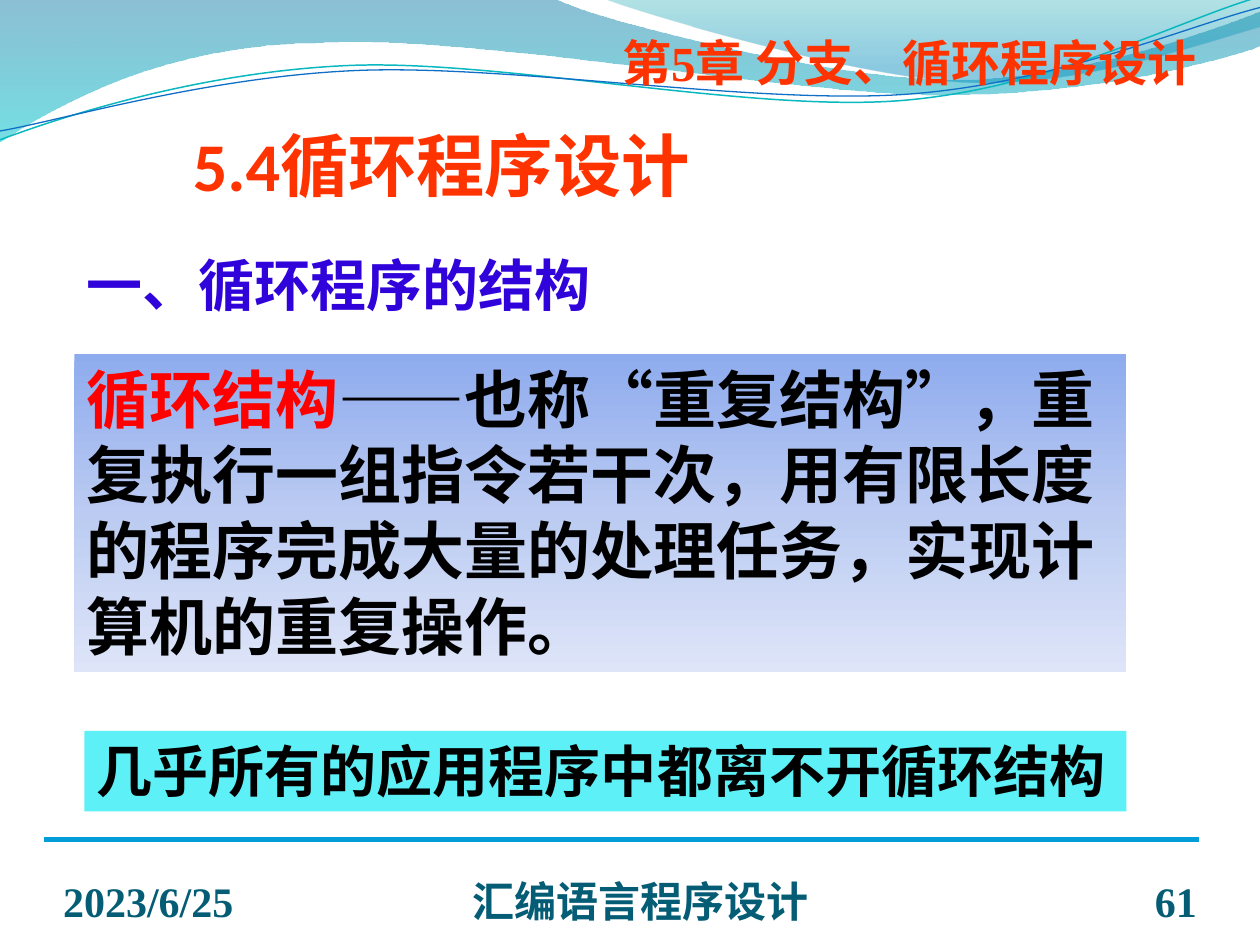
"""Build the opening slide of section 5.4 on loop programs."""
import math
import pptx
import pptx.dml.color
import pptx.enum.shapes
import pptx.enum.text
import pptx.oxml
import pptx.oxml.ns
import pptx.util
from pptx.util import Inches

hue = pptx.dml.color.RGBColor.from_string
qn = pptx.oxml.ns.qn
align = pptx.enum.text.PP_ALIGN
anchor = pptx.enum.text.MSO_ANCHOR
SANS, SERIF = "Noto Sans CJK SC", "Times New Roman"


def grade(shape, stops):
    shape.fill.gradient()
    shape.fill.gradient_angle = 270
    rows = "".join(
        f'<a:gs pos="{pos * 1000}"><a:srgbClr val="{tint}">'
        f'<a:alpha val="{alpha * 1000}"/></a:srgbClr></a:gs>'
        for pos, tint, alpha in stops)
    fresh = pptx.oxml.parse_xml(
        f'<a:gsLst {pptx.oxml.ns.nsdecls("a")}>{rows}</a:gsLst>')
    old = shape._element.spPr.find(".//" + qn("a:gsLst"))
    old.getparent().replace(old, fresh)


def write(shape, runs, size, face, look, lead=None, side=align.LEFT):
    frame = shape.text_frame
    for name, value in {"word_wrap": True, **look}.items():
        setattr(frame, name, value)
    para = frame.paragraphs[0]
    para.alignment = side
    if lead:
        para.line_spacing = pptx.util.Pt(round(size * lead, 1))
    for words, tint in runs:
        run = para.add_run()
        run.text = words
        form = {"size": pptx.util.Pt(size), "bold": True, "name": face}
        for name, value in form.items():
            setattr(run.font, name, value)
        run.font.color.rgb = hue(tint)
        east = run._r.get_or_add_rPr().makeelement(qn("a:ea"), {"typeface": SANS})
        run.font._element.find(qn("a:latin")).addnext(east)


deck = pptx.Presentation()
deck.slide_width, deck.slide_height = Inches(10), Inches(7.5)
slide = deck.slides.add_slide(deck.slide_layouts[6])
shapes = slide.shapes

waves = [
    ([(0, -0.01), (4.4, -0.01),
      (4.76, 0.17, 6.64, 0.63, 7.58, 0.63), (8.53, 0.63, 9.58, 0.26, 10, 0.09),
      (10.01, 0.36), (9.83, 0.44, 8.7, 0.76, 7.46, 0.75),
      (6.22, 0.75, 3.82, 0.28, 2.57, 0.34), (1.29, 0.35, 0.46, 0.83, -0.01, 1.13),
      (0, -0.01)],
     [(0, "0074A1", 45), (100, "00C6CF", 55)], None, 0, (0, 0)),
    ([(4.79, -0.01), (5.09, 0.11, 6.82, 0.62, 7.69, 0.65),
      (8.56, 0.69, 9.61, 0.32, 10, 0.21), (10, 0), (4.79, -0.01)],
     [(0, "00A1A9", 30), (80, "008BBF", 45)], None, 0, (0, 0)),
    ([(0, 1.11), (0.48, 0.93, 1.58, 0.57, 2.77, 0.52),
      (3.95, 0.47, 5.93, 0.89, 7.13, 0.8), (8.33, 0.71, 9.38, 0.15, 9.98, -0.02)],
     None, ("0AB8BF", 0.85), 2.7, (4.99, 0.57)),
    ([(0, 1.04), (0.47, 0.96, 1.64, 0.61, 2.83, 0.56),
      (4.03, 0.51, 5.97, 0.83, 7.17, 0.75), (8.36, 0.67, 9.41, 0.21, 10, 0.06)],
     None, ("0F6FC6", 0.75), 2.7, (5, 0.59)),
]
for steps, stops, pen, tilt, (mx, my) in waves:
    sin, cos = math.sin(math.radians(tilt)), math.cos(math.radians(tilt))
    turned = [[(Inches(mx + (x - mx) * cos - (y - my) * sin),
                Inches(my + (x - mx) * sin + (y - my) * cos))
               for x, y in zip(step[::2], step[1::2])] for step in steps]
    ends = [dots[-1] for dots in turned]
    path = shapes.build_freeform(*ends[0], scale=1.0)
    path.add_line_segments(ends[1:], close=bool(stops))
    wave = path.convert_to_shape()
    wave.shadow.inherit = False
    for leg, dots in zip(list(wave._element.iter(qn("a:lnTo"))), turned[1:]):
        if len(dots) == 3:
            bend = leg.makeelement(qn("a:cubicBezTo"), {})
            for x, y in dots:
                spot = {"x": str(x - wave.left), "y": str(y - wave.top)}
                bend.append(leg.makeelement(qn("a:pt"), spot))
            leg.getparent().replace(leg, bend)
    wave.rotation = -tilt % 360
    if stops:
        grade(wave, stops)
        wave.line.fill.background()
    else:
        wave.fill.background()
        wave.line.color.rgb = hue(pen[0])
        wave.line.width = pptx.util.Pt(pen[1])

rule = shapes.add_connector(pptx.enum.shapes.MSO_CONNECTOR.STRAIGHT,
                            Inches(0.35), Inches(6.66), Inches(9.52), Inches(6.66))
rule.line.color.rgb = hue("009DD9")
rule.line.width = pptx.util.Pt(3)
props = rule._element.spPr
props.append(props.makeelement(qn("a:effectLst"), {}))

top = {"vertical_anchor": anchor.TOP}
low = {"vertical_anchor": anchor.BOTTOM, "margin_left": 0, "margin_right": 0,
       "margin_top": 0, "margin_bottom": 0}

panels = [
    ((0.59, 2.81, 8.35, 2.52), 36,
     [("循环结构", "FF0000"),
      ("——也称“重复结构”，重复执行一组指令若干次，用有限长度的程序完成大量的处理任务，"
       "实现计算机的重复操作。", "000000")]),
    ((0.67, 5.8, 8.27, 0.64), 32,
     [("几乎所有的应用程序中都离不开循环结构", "000000")]),
]
for box, size, runs in panels:
    panel = shapes.add_shape(pptx.enum.shapes.MSO_SHAPE.RECTANGLE, *map(Inches, box))
    panel.shadow.inherit = False
    panel.line.fill.background()
    if len(runs) > 1:
        grade(panel, [(0, "8EABEE", 100), (50, "BBCBF2", 100), (100, "DEE5F8", 100)])
    else:
        panel.fill.solid()
        panel.fill.fore_color.rgb = hue("5EF0F7")
    write(panel, runs, size, SANS, top, 1.2)

labels = [
    ((1.53, 0.84, 5.75, 0.79), "5.4循环程序设计", 39, "Calibri", "FF3300",
     low, None, align.LEFT),
    ((0.59, 1.94, 7.01, 0.64), "一、循环程序的结构", 32, SANS, "3103DB",
     top, 1.2, align.LEFT),
    ((4.84, 0.21, 5.16, 0.57), "第5章 分支、循环程序设计", 28, SERIF, "FF3300",
     top, 1.2, align.LEFT),
    ((0.5, 6.9, 1.82, 0.45), "2023/6/25", 24, SERIF, "045D75",
     low, None, align.LEFT),
    ((8.67, 6.95, 0.83, 0.4), "61", 24, SERIF, "045C75",
     low, None, align.RIGHT),
    ((2.64, 6.9, 4.88, 0.45), "汇编语言程序设计", 24, SANS, "045C75",
     low, None, align.CENTER),
]
for box, words, size, face, tint, look, lead, side in labels:
    label = shapes.add_textbox(*map(Inches, box))
    write(label, [(words, tint)], size, face, look, lead, side)

deck.save("out.pptx")
